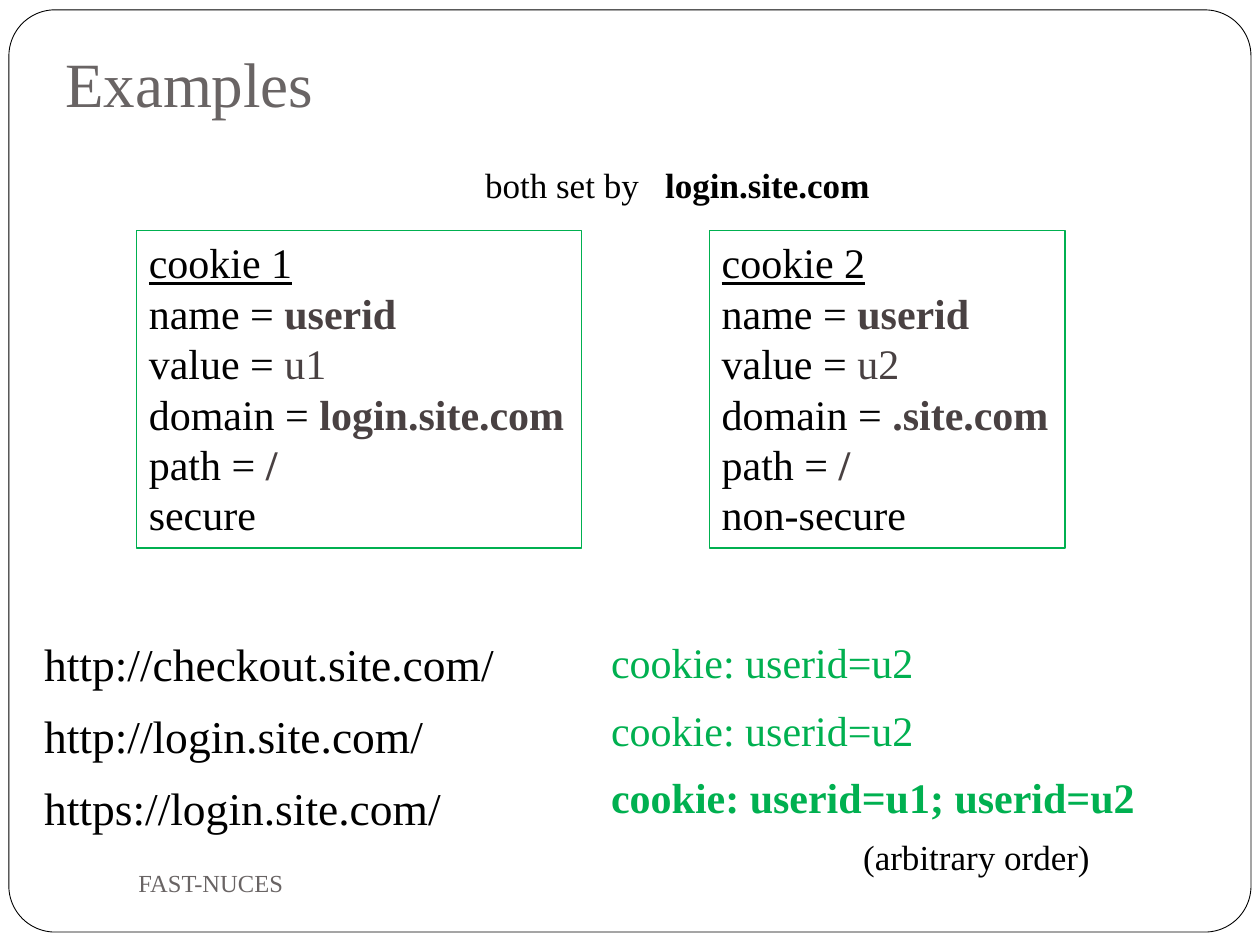
from dataclasses import dataclass

from lxml.etree import SubElement
from pptx import Presentation
from pptx.dml.color import RGBColor
from pptx.enum.shapes import MSO_SHAPE as Shape
from pptx.enum.text import MSO_ANCHOR as Anchor, MSO_AUTO_SIZE as AutoSize, PP_ALIGN as Align
from pptx.oxml.ns import qn
from pptx.util import Cm, Pt


@dataclass(frozen=True)
class Theme:
    font: str = "Times New Roman"
    paper: str = "FFFFFF"
    ink: str = "000000"
    muted: str = "696464"
    value: str = "494142"
    green: str = "00B050"
    title: int = 36
    request: int = 26
    body: int = 24
    note: int = 20
    footer: int = 14


THEME = Theme()


def add_span(para, text, size, color=THEME.ink, **formats):
    span = para.add_run()
    span.text = text
    span.font.color.rgb = RGBColor.from_string(color)
    for name, value in {"name": THEME.font, "size": Pt(size), **formats}.items():
        setattr(span.font, name, value)


def write(shape, lines, size, gap=0, anchor=Anchor.TOP, wrap=False):
    """Fill a shape with lines, each a list of (text, format values) spans."""
    frame = shape.text_frame
    settings = {"word_wrap": wrap, "auto_size": AutoSize.NONE, "vertical_anchor": anchor}
    for name, value in settings.items():
        setattr(frame, name, value)
    for index, line in enumerate(lines):
        para = frame.paragraphs[0] if index == 0 else frame.add_paragraph()
        para.alignment = Align.LEFT
        if index and gap:
            para.space_before = Pt(gap)
        for text, formats in line:
            add_span(para, text, size, **formats)


def add_text(page, box, lines, size, **settings):
    shape = page.shapes.add_textbox(*map(Cm, box))
    write(shape, lines, size, **settings)
    return shape


def add_outline(page, kind, box, color, width):
    shape = page.shapes.add_shape(kind, *map(Cm, box))
    shape.shadow.inherit = False
    shape.line.color.rgb = RGBColor.from_string(color)
    shape.line.width = Pt(width)
    return shape


def add_heading(page, box, text):
    title = page.shapes.title
    left, top, width, height = map(Cm, box)
    place = {"left": left, "top": top, "width": width, "height": height}
    for name, value in place.items():
        setattr(title, name, value)
    write(title, [[(text, {"color": THEME.muted})]], THEME.title,
          anchor=Anchor.BOTTOM, wrap=True)
    title.text_frame.margin_bottom = Cm(0.25)


def add_page_frame(page, box):
    """Draw the rounded page border behind the title."""
    border = add_outline(page, Shape.ROUNDED_RECTANGLE, box, THEME.ink, 0.5)
    border.adjustments[0] = 0.05
    border.fill.solid()
    border.fill.fore_color.rgb = RGBColor.from_string(THEME.paper)
    page.shapes.title.element.addprevious(border.element)


def add_cookie(page, box, number, domain, security):
    strong = {"color": THEME.value, "bold": True}
    fields = [
        ("name", "userid", strong),
        ("value", f"u{number}", {"color": THEME.value}),
        ("domain", domain, strong),
        ("path", "/", strong),
    ]
    lines = [[(f"cookie {number}", {"underline": True})]]
    lines += [[(f"{name} = ", {}), (value, formats)] for name, value, formats in fields]
    lines.append([(security, {})])
    card = add_outline(page, Shape.RECTANGLE, box, THEME.green, 0.75)
    card.fill.background()
    write(card, lines, THEME.body)


def add_setter_note(page, box, label, site, tab):
    note = add_text(page, box, [[(f"{label}\t", {}), (site, {"bold": True})]],
                    THEME.note, wrap=True)
    properties = note.text_frame.paragraphs[0].runs[0].font  # spans stay as written
    properties.bold = False
    para_properties = note.element.find(f".//{qn('a:pPr')}")
    tabs = SubElement(para_properties, qn("a:tabLst"))
    SubElement(tabs, qn("a:tab"), pos=str(Cm(tab)), algn="l")


def add_requests(page, box, column, exchanges):
    """List the addresses at the left and the cookies sent to them at the right."""
    left, top, width, height = box
    addresses = [[(address, {})] for address, _, _ in exchanges]
    cookies = [[(f"cookie: {sent}", {"color": THEME.green, "bold": bold})]
               for _, sent, bold in exchanges]
    add_text(page, (left, top, column, height), addresses, THEME.request, gap=10)
    add_text(page, (left + 11.43, top, width - 11.43, height), cookies, THEME.body, gap=10)
    add_text(page, (left + 16.51, top + 4.01, 5.11, 1.12),
             [[("(arbitrary order)", {})]], THEME.note)


def add_footer(page, box, text):
    add_text(page, box, [[(text, {"color": THEME.muted})]], THEME.footer,
             anchor=Anchor.MIDDLE, wrap=True)


def main():
    deck = Presentation()
    deck.slide_width, deck.slide_height = Cm(25.4), Cm(19.05)
    page = deck.slides.add_slide(deck.slide_layouts[5])

    add_page_frame(page, (0.18, 0.2, 25.04, 18.59))
    add_heading(page, (1.06, 0.64, 21.59, 2.03), "Examples")
    add_cookie(page, (2.75, 4.65, 8.97, 6.4), 1, "login.site.com", "secure")
    add_cookie(page, (14.3, 4.65, 7.17, 6.4), 2, ".site.com", "non-secure")
    add_setter_note(page, (9.53, 3.18, 8.5, 1.12), "both set by", "login.site.com", 3.63)
    add_requests(page, (0.64, 12.7, 22.6, 4.04), 10.6, [
        ("http://checkout.site.com/", "userid=u2", False),
        ("http://login.site.com/", "userid=u2", False),
        ("https://login.site.com/", "userid=u1; userid=u2", True),
    ])
    add_footer(page, (2.54, 17.15, 11, 1.27), "FAST-NUCES")
    deck.save("out.pptx")


if __name__ == "__main__":
    main()
